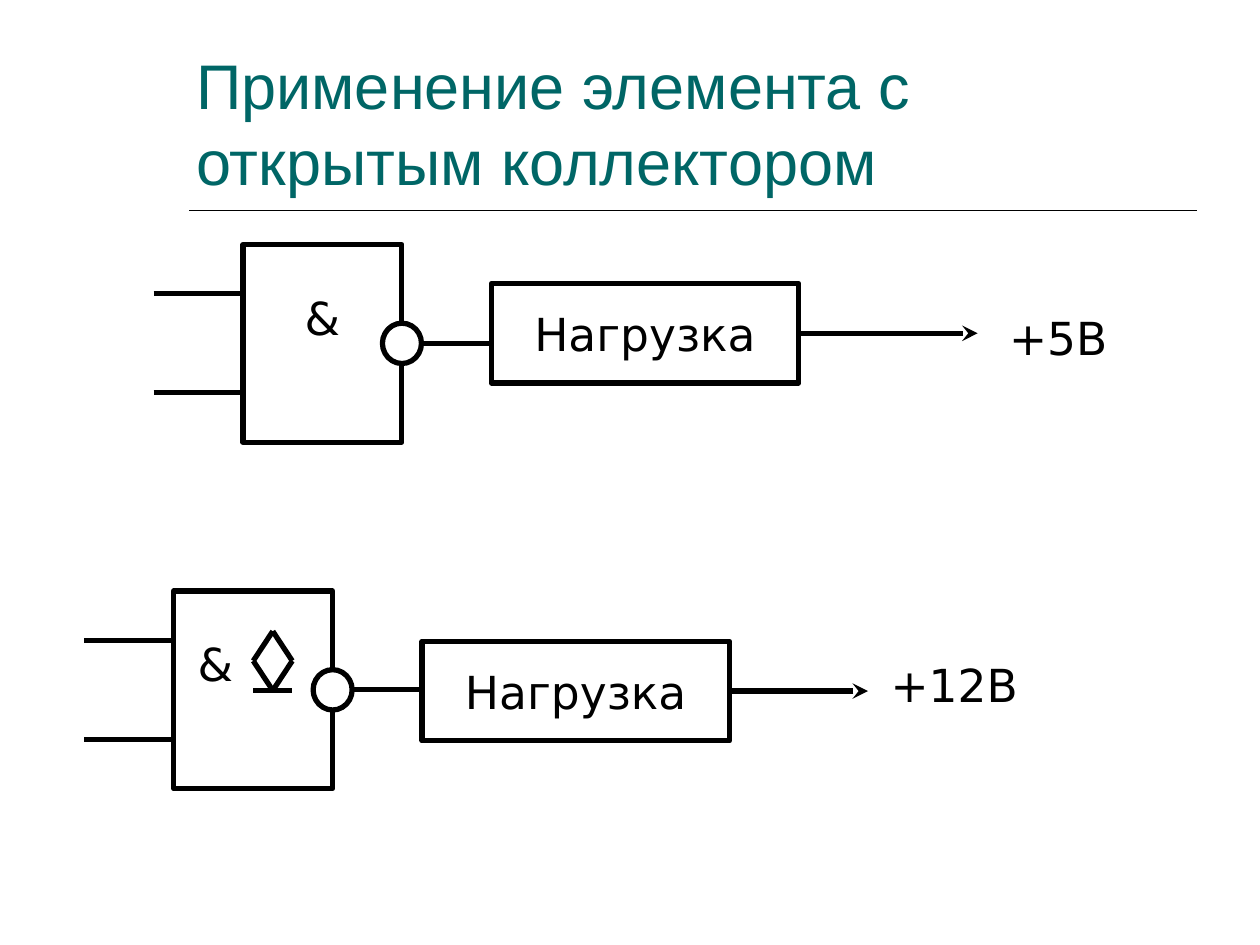
from itertools import pairwise

from pptx import Presentation
from pptx.dml.color import RGBColor
from pptx.enum.shapes import MSO_CONNECTOR, MSO_SHAPE
from pptx.enum.text import MSO_ANCHOR, PP_ALIGN
from pptx.oxml.ns import qn
from pptx.util import Inches, Pt

COLORS = {"title": "006666", "ink": "000000", "paper": "FFFFFF"}
GATE_W, GATE_H = 1.26, 1.57
LOAD_W, LOAD_H = 2.44, 0.79
BUBBLE_W, BUBBLE_H = 0.31, 0.32
WIRE = 0.71


def color(name):
    return RGBColor.from_string(COLORS[name])


def write(shape, text, size=26, font="DejaVu Sans", ink="ink"):
    frame = shape.text_frame
    frame.word_wrap = True
    frame.text = text
    run_font = frame.paragraphs[0].runs[0].font
    run_font.size, run_font.name = Pt(size), font
    run_font.color.rgb = color(ink)
    return frame


def add_line(slide, start, end, width=3, arrow_at_start=False):
    line = slide.shapes.add_connector(
        MSO_CONNECTOR.STRAIGHT, *(Inches(v) for v in (*start, *end)))
    line.line.color.rgb = color("ink")
    line.line.width = Pt(width)
    if arrow_at_start:
        head = line.line._get_or_add_ln().makeelement(
            qn("a:headEnd"), {"type": "stealth"})
        line.line._get_or_add_ln().append(head)
    properties = line._element.spPr
    properties.append(properties.makeelement(qn("a:effectLst"), {}))


def add_outlined(slide, kind, left, top, width, height):
    shape = slide.shapes.add_shape(
        kind, *(Inches(v) for v in (left, top, width, height)))
    shape.shadow.inherit = False
    shape.fill.solid()
    shape.fill.fore_color.rgb = color("paper")
    shape.line.color.rgb = color("ink")
    shape.line.width = Pt(3)
    return shape


def add_block(slide, left, top, width, height, text):
    block = add_outlined(slide, MSO_SHAPE.RECTANGLE, left, top, width, height)
    frame = write(block, text)
    frame.vertical_anchor = MSO_ANCHOR.MIDDLE
    frame.paragraphs[0].alignment = PP_ALIGN.CENTER
    return frame


def add_label(slide, left, top, width, height, text, **style):
    box = slide.shapes.add_textbox(
        *(Inches(v) for v in (left, top, width, height)))
    return write(box, text, **style)


def add_title(slide, left, top, width, height):
    frame = add_label(slide, left, top, width, height,
                      "Применение элемента с открытым коллектором",
                      size=36, font="Arial", ink="title")
    frame.vertical_anchor = MSO_ANCHOR.BOTTOM
    rule_y = top + height + 0.05
    add_line(slide, (1.5, rule_y), (9.5, rule_y), width=1)


def add_open_collector_mark(slide, left, top, width, height):
    """Underlined diamond that marks an open-collector output."""
    middle, right = left + width / 2, left + width
    side_y, bottom = top + height / 2, top + height
    outline = [(middle, top), (right, side_y), (middle, bottom),
               (left, side_y), (middle, top)]
    for start, end in pairwise(outline):
        add_line(slide, start, end)
    add_line(slide, (left, bottom), (right, bottom))


def add_circuit(slide, left, top, load_dy, arrow_length, voltage,
                label_gap, label_width, open_collector=False):
    """NAND gate whose top left corner is given, with its load and supply."""
    gate_right, output_y = left + GATE_W, top + GATE_H / 2
    load_left, load_top = gate_right + WIRE, top + load_dy
    load_right, supply_y = load_left + LOAD_W, load_top + LOAD_H / 2
    tip = load_right + arrow_length

    gate = add_block(slide, left, top, GATE_W, GATE_H, "&")
    gate.margin_bottom = Inches(0.47)
    if open_collector:
        gate.margin_right = Inches(0.7)
        add_open_collector_mark(slide, left + 0.63, top + 0.32, 0.31, 0.47)

    for input_y in (top + GATE_H / 4, top + GATE_H * 3 / 4):
        add_line(slide, (left - WIRE, input_y), (left, input_y))
    add_line(slide, (gate_right, output_y), (load_left, output_y))
    add_outlined(slide, MSO_SHAPE.OVAL, gate_right - BUBBLE_W / 2,
                 output_y - BUBBLE_H / 2, BUBBLE_W, BUBBLE_H)

    add_block(slide, load_left, load_top, LOAD_W, LOAD_H, "Нагрузка")
    add_line(slide, (tip, supply_y), (load_right, supply_y),
             arrow_at_start=True)
    add_label(slide, tip + label_gap, top + 0.475, label_width, 0.54, voltage)


def main():
    deck = Presentation()
    deck.slide_width, deck.slide_height = Inches(10), Inches(7.5)
    slide = deck.slides.add_slide(deck.slide_layouts[6])
    add_title(slide, 1.46, 0.05, 8, 1.57)
    add_circuit(slide, 1.93, 1.94, load_dy=0.31, arrow_length=1.42,
                voltage="+5В", label_gap=0.15, label_width=1.02)
    add_circuit(slide, 1.38, 4.69, load_dy=0.4, arrow_length=1.1,
                voltage="+12В", label_gap=0.08, label_width=1.26,
                open_collector=True)
    deck.save("out.pptx")


if __name__ == "__main__":
    main()
